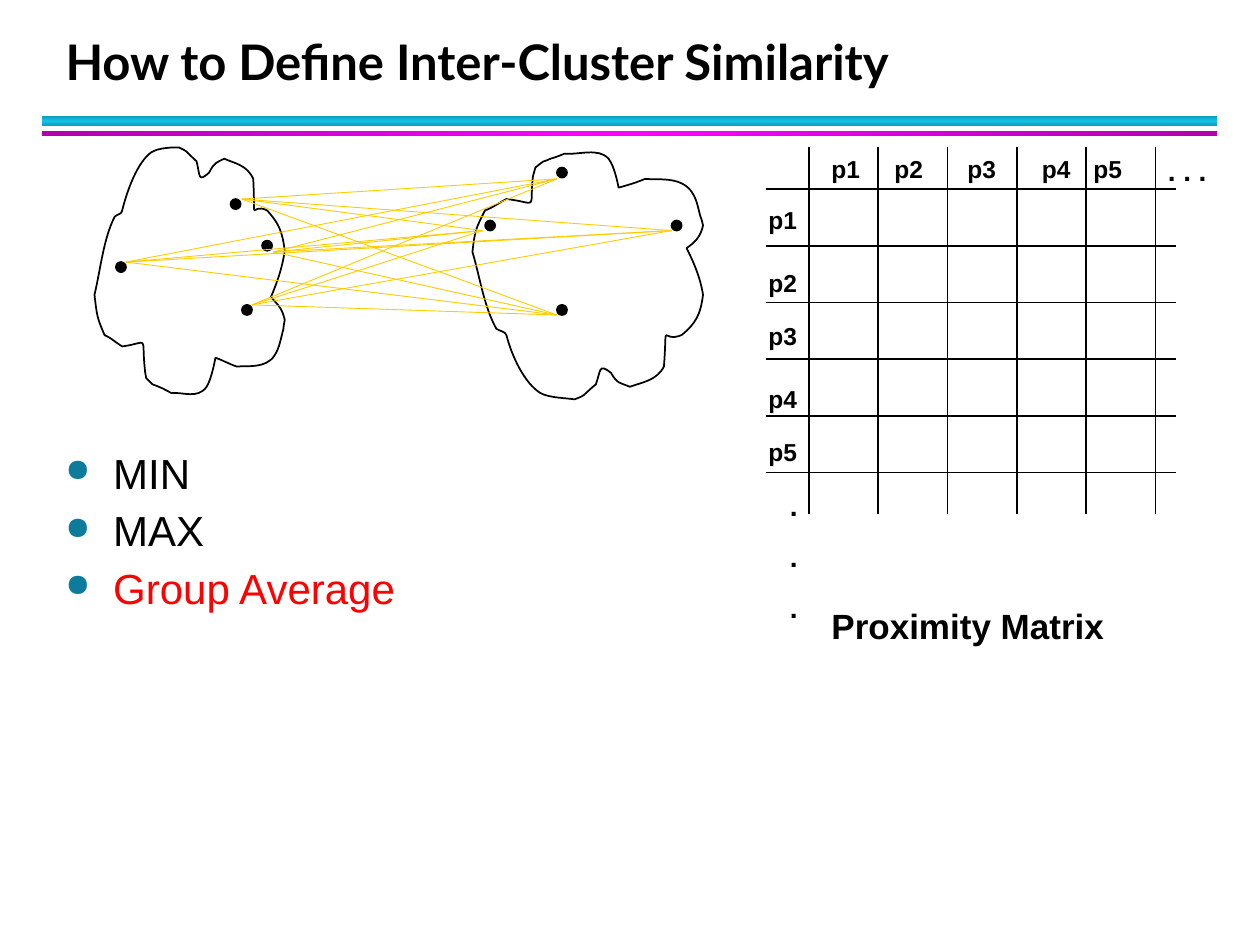
from copy import deepcopy
from itertools import product

from lxml import etree
from pptx import Presentation
from pptx.dml.color import RGBColor
from pptx.enum.shapes import MSO_CONNECTOR, MSO_SHAPE
from pptx.enum.text import MSO_ANCHOR, PP_ALIGN
from pptx.oxml.ns import qn
from pptx.util import Inches, Pt

STRAIGHT = MSO_CONNECTOR.STRAIGHT
RECT, OVAL = MSO_SHAPE.RECTANGLE, MSO_SHAPE.OVAL
BOTTOM, LEFT = MSO_ANCHOR.BOTTOM, PP_ALIGN.LEFT

BLACK = RGBColor(0x00, 0x00, 0x00)
RED = RGBColor(0xFF, 0x00, 0x00)
GOLD = RGBColor(0xFF, 0xCC, 0x00)
TEAL = RGBColor(0x0C, 0x7B, 0x9C)
BLUE_EDGE, BLUE_MID = RGBColor(0x0E, 0x9B, 0xBA), RGBColor(0x12, 0xC2, 0xE9)
PINK_EDGE, PINK_MID = RGBColor(0xB2, 0x00, 0xB2), RGBColor(0xFF, 0x00, 0xFF)

UNIT = 0.01  # cluster coordinates are hundredths of an inch
DOT = 0.08

# Start point, then two control points and an end point for each curve
LEFT_OUTLINE = [
    (16, 55), (7, 73), (5, 96), (0, 117), (2, 134), (2, 135), (8, 149),
    (13, 151), (17, 155), (22, 158), (44, 155), (37, 148), (40, 176),
    (40, 179), (41, 181), (41, 183), (48, 190), (44, 187), (51, 190),
    (54, 191), (61, 195), (61, 195), (70, 194), (82, 200), (89, 190),
    (93, 184), (96, 167), (96, 167), (102, 169), (107, 172), (113, 174),
    (121, 173), (136, 176), (143, 165), (147, 159), (148, 151), (150, 144),
    (150, 142), (151, 137), (151, 137), (149, 128), (146, 125), (140, 119),
    (145, 107), (149, 96), (151, 82), (149, 66), (146, 60), (137, 50),
    (123, 43), (128, 65), (126, 25), (121, 14), (112, 13), (103, 9),
    (97, 12), (95, 12), (91, 20), (82, 28), (84, 23), (81, 11),
    (70, 1), (75, 4), (67, 0), (63, 0), (51, 0), (45, 4),
    (34, 12), (26, 34), (22, 50), (22, 53), (18, 53), (16, 55)]
RIGHT_OUTLINE = [
    (19, 144), (9, 126), (6, 103), (0, 83), (2, 65), (3, 64), (10, 50),
    (16, 48), (21, 44), (27, 41), (53, 44), (45, 51), (48, 23),
    (49, 21), (49, 18), (50, 16), (59, 9), (53, 13), (62, 9),
    (66, 8), (73, 5), (73, 5), (85, 6), (100, 0), (108, 9),
    (113, 15), (116, 32), (116, 32), (123, 30), (130, 28), (137, 25),
    (147, 26), (164, 23), (173, 34), (178, 40), (179, 48), (181, 55),
    (182, 57), (183, 62), (183, 62), (181, 71), (177, 75), (170, 80),
    (176, 92), (181, 104), (183, 117), (181, 133), (177, 140), (166, 149),
    (149, 156), (155, 134), (152, 174), (146, 185), (136, 186), (125, 190),
    (118, 187), (115, 188), (110, 179), (100, 171), (102, 177), (98, 188),
    (85, 199), (91, 196), (81, 200), (76, 199), (61, 199), (54, 195),
    (41, 187), (31, 165), (27, 149), (26, 146), (22, 146), (19, 144)]
LEFT_DOTS = [(117, 125), (133, 74), (17, 91), (108, 41)]
RIGHT_DOTS = [(67, 125), (10, 58), (67, 16), (158, 58)]
LEFT_ENDS = [(125, 125), (142, 83), (25, 91), (117, 41)]
RIGHT_ENDS = [(67, 133), (8, 66), (67, 25), (158, 66)]


def style_runs(p, size, color=BLACK, bold=True, font="Arial"):
    for r in p.runs:
        r.font.name, r.font.size, r.font.bold = font, Pt(size), bold
        r.font.color.rgb = color


def add_line(shapes, x1, y1, x2, y2, color=BLACK, width=1):
    line = shapes.add_connector(STRAIGHT, *map(Inches, (x1, y1, x2, y2)))
    line.line.color.rgb, line.line.width = color, Pt(width)
    etree.SubElement(line._element.spPr, qn("a:effectLst"))


def add_label(shapes, x, y, w, h, text, size):
    tf = shapes.add_textbox(*map(Inches, (x, y, w, h))).text_frame
    tf.word_wrap = True
    tf.text = text
    for p in tf.paragraphs:
        p.space_before = Pt(size * 5 / 8)
        style_runs(p, size)


def add_band(shapes, x, y, w, h, edge, middle, angle):
    """Bar with a gradient that is the same colour at both ends."""
    sp = shapes.add_shape(RECT, *map(Inches, (x, y, w, h)))
    sp.shadow.inherit = False
    sp.line.fill.background()
    sp.fill.gradient()
    sp.fill.gradient_angle = angle
    first = sp._element.spPr.find(".//" + qn("a:gs"))
    first.addnext(deepcopy(first))
    for stop, color, pos in zip(sp.fill.gradient_stops, (edge, middle, edge), (0, 0.5, 1)):
        stop.color.rgb, stop.position = color, pos


def add_header(slide, x, y, w, h):
    add_band(slide.shapes, x, y + 0.75, w, 0.08, BLUE_EDGE, BLUE_MID, 90)
    add_band(slide.shapes, x, y + 0.87, w, 0.04, PINK_EDGE, PINK_MID, 0)
    title = slide.shapes.title
    title.left, title.top = Inches(x + 0.09), Inches(y)
    title.width, title.height = Inches(w - 0.27), Inches(h)
    tf = title.text_frame
    tf.text = "How to Define Inter-Cluster Similarity"
    tf.vertical_anchor = BOTTOM
    p = tf.paragraphs[0]
    p.alignment, p.line_spacing = LEFT, Pt(36)
    style_runs(p, 28, font="Lato")


def add_matrix(shapes, x, y, w, h):
    """Ruled proximity matrix with point names along both edges."""
    for i in range(6):
        col, row = x + 0.34 + 0.55 * i, y + 0.33 + 0.45 * i
        add_line(shapes, col, y, col, y + h)
        add_line(shapes, x, row, x + w, row)
    col_offsets = (0.42, 0.92, 1.5, 2.09, 2.5)
    row_offsets = (0.41, 0.91, 1.33, 1.83, 2.25)
    for n, (dx, dy) in enumerate(zip(col_offsets, row_offsets), 1):
        add_label(shapes, x + dx, y, 0.58, 0.34, f"p{n}", 14)
        add_label(shapes, x - 0.08, y + dy, 0.58, 0.34, f"p{n}", 14)
    add_label(shapes, x + 3.09, y, 0.58, 0.37, ". . .", 16)
    add_label(shapes, x + 0.09, y + 2.66, 0.58, 1.18, ".\n.\n.", 16)
    add_label(shapes, x + 0.42, y + 3.58, 2.75, 0.44, "Proximity Matrix", 20)


def add_cluster(shapes, x, y, outline, dots):
    builder = shapes.build_freeform(*outline[0], scale=Inches(UNIT))
    builder.add_line_segments(outline[1:], close=True)
    sp = builder.convert_to_shape(Inches(x), Inches(y))
    sp.shadow.inherit = False
    sp.fill.background()
    sp.line.color.rgb, sp.line.width = BLACK, Pt(1)
    segments = sp._element.findall(".//" + qn("a:lnTo"))
    for i in range(0, len(segments), 3):
        curve = etree.Element(qn("a:cubicBezTo"))
        segments[i].addprevious(curve)
        for seg in segments[i:i + 3]:
            curve.append(seg[0])
            seg.getparent().remove(seg)
    for dx, dy in dots:
        dot = shapes.add_shape(OVAL, Inches(x + dx * UNIT), Inches(y + dy * UNIT),
                               Inches(DOT), Inches(DOT))
        dot.shadow.inherit = False
        dot.fill.solid()
        dot.fill.fore_color.rgb = dot.line.color.rgb = BLACK
        dot.line.width = Pt(1)


def add_clusters(shapes, x, y, gap):
    """Two clusters with every pair of points linked."""
    add_cluster(shapes, x, y, LEFT_OUTLINE, LEFT_DOTS)
    add_cluster(shapes, x + gap, y, RIGHT_OUTLINE, RIGHT_DOTS)
    for (x1, y1), (x2, y2) in product(LEFT_ENDS, RIGHT_ENDS):
        add_line(shapes, x + x1 * UNIT, y + y1 * UNIT,
                 x + gap + x2 * UNIT, y + y2 * UNIT, GOLD, 0.5)


def add_methods(shapes, x, y, w, h):
    tf = shapes.add_textbox(*map(Inches, (x, y, w, h))).text_frame
    tf.word_wrap = True
    tf.text = "MIN\nMAX\nGroup Average"
    for p, color in zip(tf.paragraphs, (BLACK, BLACK, RED)):
        p.space_before = p.space_after = Pt(2)
        style_runs(p, 24, color, bold=False)
        pPr = p._p.get_or_add_pPr()
        pPr.set("marL", str(Inches(0.38)))
        pPr.set("indent", str(-Inches(0.38)))
        bullet_color = etree.SubElement(pPr, qn("a:buClr"))
        etree.SubElement(bullet_color, qn("a:srgbClr"), val=str(TEAL))
        etree.SubElement(pPr, qn("a:buSzPct"), val="75000")
        etree.SubElement(pPr, qn("a:buChar"), char="●")


def main():
    prs = Presentation()
    prs.slide_width, prs.slide_height = Inches(10), Inches(7.5)
    slide = prs.slides.add_slide(prs.slide_layouts[5])
    add_header(slide, 0.33, 0.17, 9.33, 0.6)
    add_matrix(slide.shapes, 6.08, 1.17, 3.25, 2.91)
    add_clusters(slide.shapes, 0.75, 1.17, 3)
    add_methods(slide.shapes, 0.42, 3.5, 6.33, 3.42)
    prs.save("out.pptx")


if __name__ == "__main__":
    main()
